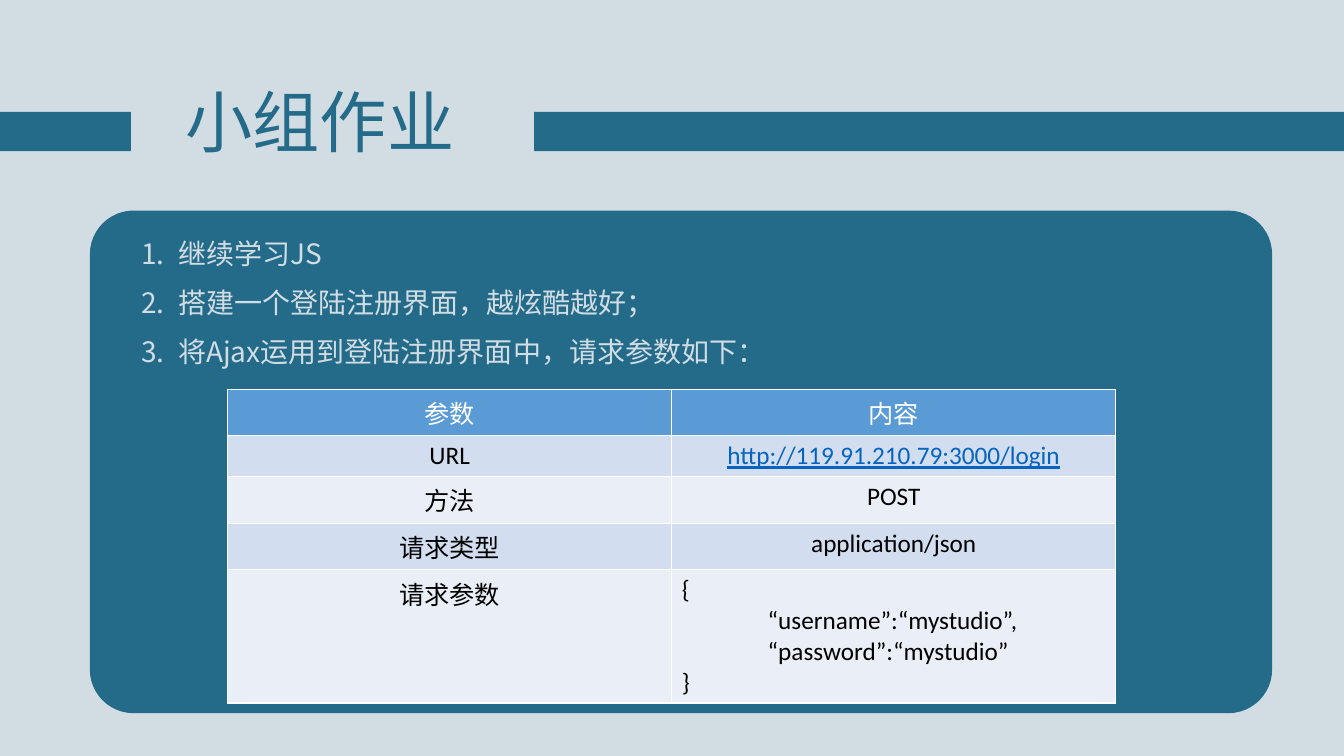
from lxml import etree
from pptx import Presentation, util as u
from pptx.dml import color
from pptx.enum import shapes, text
from pptx.oxml import ns

TEAL, PALE, WHITE, BLACK = "246B8A", "D2DDE3", "FFFFFF", "000000"
CJK_FONT = "Noto Sans CJK JP"


def paint(target, hex_color):
    if hasattr(target, "solid"):
        target.solid()
        target = target.fore_color
    target.rgb = color.RGBColor.from_string(hex_color)


def format_runs(paragraph, size, font_name, hex_color):
    for run in paragraph.runs:
        run.font.size = u.Pt(size)
        run.font.name = font_name
        run.font.bold = False
        paint(run.font.color, hex_color)
        if font_name == CJK_FONT:
            properties = run._r.get_or_add_rPr()
            etree.SubElement(properties, ns.qn("a:ea"), typeface=font_name)


presentation = Presentation()
presentation.slide_width, presentation.slide_height = u.Pt(960), u.Pt(540)
slide = presentation.slides.add_slide(presentation.slide_layouts[1])
paint(slide.background.fill, PALE)

title, tasks = slide.placeholders
placements = [
    (title, "小组作业", (125.3, 53.3, 584, 65.5), text.MSO_ANCHOR.MIDDLE),
    (tasks, "继续学习JS\n搭建一个登陆注册界面，越炫酷越好；\n"
     "将Ajax运用到登陆注册界面中，请求参数如下：",
     (93.6, 158, 660, 106), text.MSO_ANCHOR.TOP),
]
for placeholder, wording, box, anchor in placements:
    placeholder.left, placeholder.top, placeholder.width, placeholder.height = map(u.Pt, box)
    frame = placeholder.text_frame
    frame.text = wording
    frame.auto_size = text.MSO_AUTO_SIZE.NONE
    frame.vertical_anchor = anchor
    frame.margin_top = frame.margin_bottom = 0

title_paragraph = title.text_frame.paragraphs[0]
title_paragraph.alignment = text.PP_ALIGN.LEFT
format_runs(title_paragraph, 48, CJK_FONT, TEAL)

for paragraph in tasks.text_frame.paragraphs:
    paragraph.line_spacing = u.Pt(35)
    paragraph.space_before = u.Pt(0)
    format_runs(paragraph, 20, CJK_FONT, PALE)
    properties = paragraph._p.get_or_add_pPr()
    properties.set("marL", str(u.Pt(26.4)))
    properties.set("indent", str(-u.Pt(26.4)))
    etree.SubElement(properties, ns.qn("a:buFontTx"))
    etree.SubElement(properties, ns.qn("a:buAutoNum"), type="arabicPeriod")

panels = [
    (shapes.MSO_SHAPE.RECTANGLE, (0, 80, 93.6, 28)),
    (shapes.MSO_SHAPE.RECTANGLE, (381.6, 80, 578.4, 28)),
    (shapes.MSO_SHAPE.ROUNDED_RECTANGLE, (64.2, 150.4, 844.5, 359)),
]
for preset, box in panels:
    panel = slide.shapes.add_shape(preset, *map(u.Pt, box))
    panel.shadow.inherit = False
    paint(panel.fill, TEAL)
    panel.line.fill.background()
    if preset == shapes.MSO_SHAPE.ROUNDED_RECTANGLE:
        panel.adjustments[0] = 0.087
    slide.shapes._spTree.insert(2, panel._element)

request_rows = [
    ("参数", "内容"),
    ("URL", "http://119.91.210.79:3000/login"),
    ("方法", "POST"),
    ("请求类型", "application/json"),
    ("请求参数", "{\n“username”:“mystudio”,\n“password”:“mystudio”\n}"),
]
row_fills = ["5B9BD5", "D2DEEF", "EAEFF7", "D2DEEF", "EAEFF7"]
row_heights = [28.8] * 4 + [93.6]
table = slide.shapes.add_table(
    len(request_rows), 2, u.Pt(162.6), u.Pt(278), u.Pt(634.4), u.Pt(sum(row_heights))
).table

for row, wordings, fill, height in zip(table.rows, request_rows, row_fills, row_heights):
    row.height = u.Pt(height)
    for cell, wording in zip(row.cells, wordings):
        cell.text_frame.text = wording
        paint(cell.fill, fill)
        is_code = wording.startswith("{")
        is_address = wording.startswith("http")
        font_color = WHITE if wordings == request_rows[0] else "0563C1" if is_address else BLACK
        for paragraph in cell.text_frame.paragraphs:
            paragraph.alignment = text.PP_ALIGN.LEFT if is_code else text.PP_ALIGN.CENTER
            format_runs(paragraph, 18, "Calibri", font_color)
            if is_address:
                paragraph.runs[0].font.underline = True
            if paragraph.text.startswith("“"):
                paragraph._p.get_or_add_pPr().set("marL", str(u.Pt(61.4)))

presentation.save("out.pptx")
